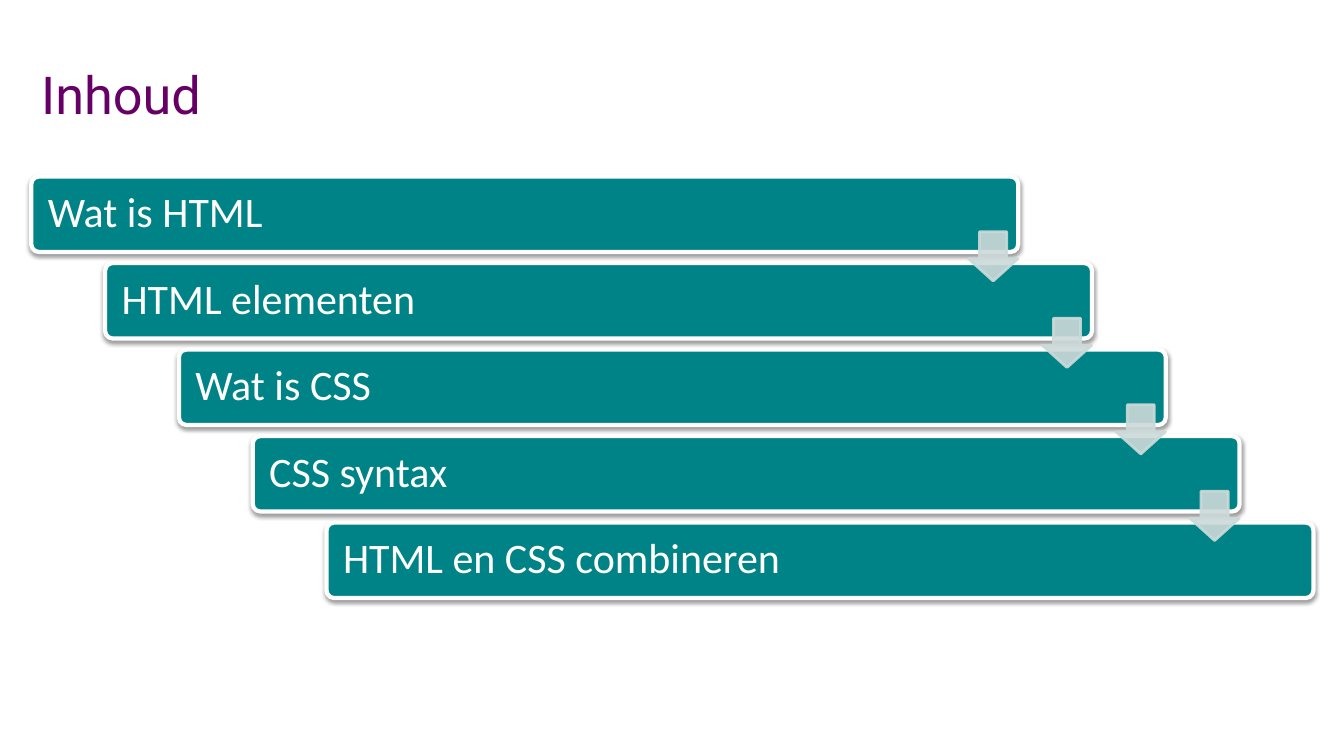
from lxml.etree import SubElement
from pptx import Presentation
from pptx.dml.color import RGBColor
from pptx.enum.shapes import MSO_SHAPE
from pptx.enum.text import MSO_ANCHOR, PP_ALIGN
from pptx.oxml.ns import qn
from pptx.util import Cm, Pt


def color(hex_string):
    return RGBColor.from_string(hex_string)


def write_text(shape, text, font, size, hex_string, inset_x, inset_y, spacing=1.0):
    frame = shape.text_frame
    frame.word_wrap = True
    frame.vertical_anchor = MSO_ANCHOR.MIDDLE
    frame.margin_left = frame.margin_right = Cm(inset_x)
    frame.margin_top = frame.margin_bottom = Cm(inset_y)
    paragraph = frame.paragraphs[0]
    paragraph.alignment = PP_ALIGN.LEFT
    paragraph.line_spacing = spacing
    run = paragraph.add_run()
    run.text = text
    run.font.name = font
    run.font.size = Pt(size)
    run.font.color.rgb = color(hex_string)


presentation = Presentation()
presentation.slide_width = Cm(33.87)
presentation.slide_height = Cm(19.05)
slide = presentation.slides.add_slide(presentation.slide_layouts[6])

title = slide.shapes.add_textbox(Cm(0.79), Cm(0.76), Cm(32.3), Cm(3.18))
write_text(title, "Inhoud", font="Roboto", size=37.3, hex_string="660066",
           inset_x=0.25, inset_y=0.13)

topics = ["Wat is HTML", "HTML elementen", "Wat is CSS", "CSS syntax",
          "HTML en CSS combineren"]
step_x, step_y = 1.86, 2.18

for index, topic in enumerate(topics):
    bar = slide.shapes.add_shape(
        MSO_SHAPE.ROUNDED_RECTANGLE, Cm(0.79 + index * step_x),
        Cm(4.45 + index * step_y), Cm(24.87), Cm(1.9))
    bar.adjustments[0] = 0.1
    bar.fill.solid()
    bar.fill.fore_color.rgb = color("008386")
    bar.line.color.rgb = color("FFFFFF")
    bar.line.width = Pt(3)
    bar.shadow.inherit = False
    effects = bar._element.spPr.find(qn("a:effectLst"))
    shadow = SubElement(effects, qn("a:outerShdw"), blurRad=str(Pt(3.1)),
                        dist=str(Pt(1.6)), dir="5400000", rotWithShape="0")
    shadow_color = SubElement(shadow, qn("a:srgbClr"), val="000000")
    SubElement(shadow_color, qn("a:alpha"), val="38000")
    write_text(bar, topic, font="Calibri", size=30, hex_string="FFFFFF",
               inset_x=0.36, inset_y=0.3, spacing=0.9)

for index in range(len(topics) - 1):
    arrow = slide.shapes.add_shape(
        MSO_SHAPE.DOWN_ARROW, Cm(24.41 + index * step_x),
        Cm(5.84 + index * step_y), Cm(1.24), Cm(1.24))
    arrow.adjustments[0] = 0.55
    arrow.adjustments[1] = 0.45
    arrow.shadow.inherit = False
    arrow.line.width = Pt(2)
    for paint in (arrow.fill, arrow.line.fill):
        paint.solid()
        paint.fore_color.rgb = color("CCD9D9")
    for paint_color in arrow._element.spPr.iter(qn("a:srgbClr")):
        SubElement(paint_color, qn("a:alpha"), val="90000")

presentation.save("out.pptx")
